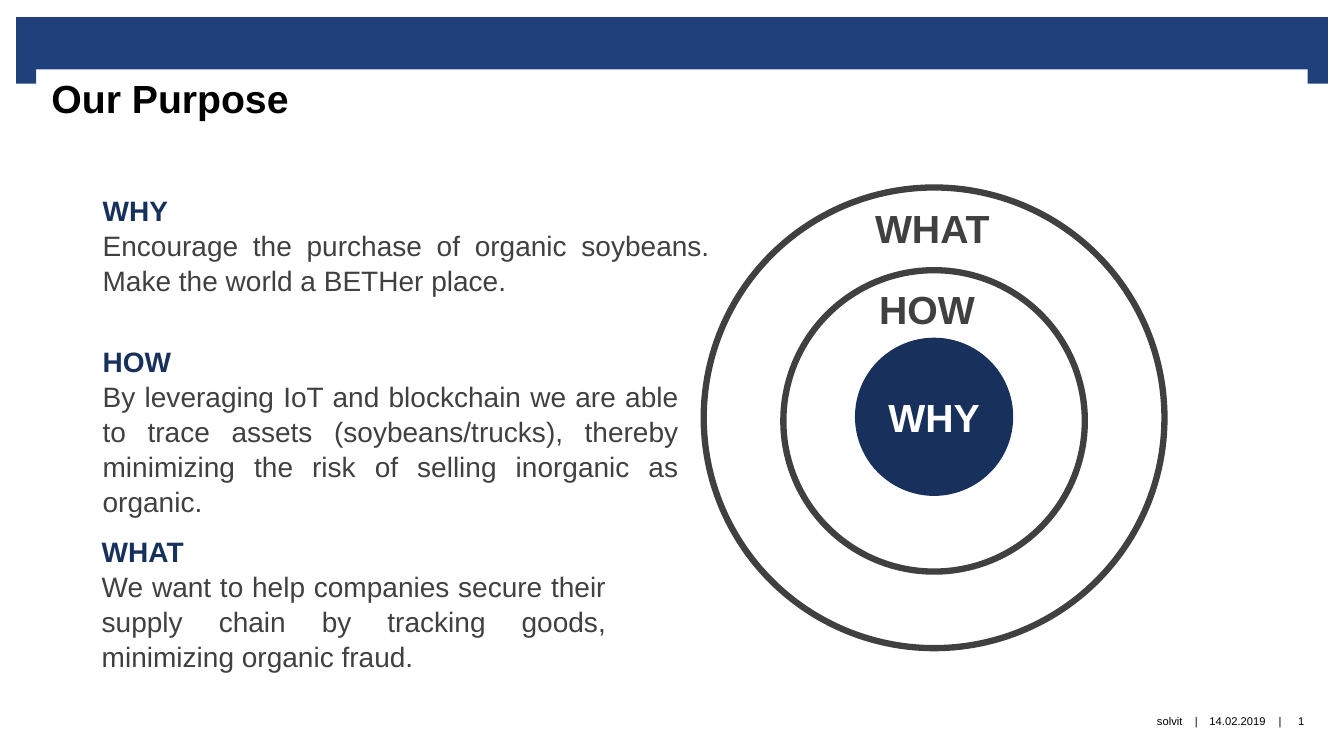
"""Build the "Our Purpose" slide with its three statements and nested circles."""
import pptx
import pptx.util
import pptx.dml.color
import pptx.enum.shapes
import pptx.enum.text

SIZE = (13.33, 7.5)
FONT = "Arial"
COLORS = {"band": "1F407A", "navy": "17305C", "gray": "404040",
          "black": "000000", "white": "FFFFFF"}
ALIGN = pptx.enum.text.PP_ALIGN
ANCHOR = pptx.enum.text.MSO_ANCHOR
SHAPE = pptx.enum.shapes.MSO_SHAPE

# All boxes are left, top, width, height in percent of the slide.
TITLE = ("Our Purpose", (2.63, 9.07, 94.67, 14.13))
BANDS = [(1.2, 2.27, 97.6, 6.93), (1.2, 8.67, 1.5, 2.4), (97.3, 8.67, 1.5, 2.4)]
SECTIONS = [
    ("WHY", "Encourage the purchase of organic soybeans. "
            "Make the world a BETHer place.", (6.9, 24.8, 46.66, 15.73)),
    ("HOW", "By leveraging IoT and blockchain we are able to trace assets "
            "(soybeans/trucks), thereby minimizing the risk of selling "
            "inorganic as organic.", (6.9, 44.8, 44.34, 20)),
    ("WHAT", "We want to help companies secure their supply chain by tracking "
             "goods, minimizing organic fraud.", (6.83, 69.87, 39.01, 15.73)),
]
CENTER_X = 69.5
CIRCLES = [("WHY", 55.13, 20.93), ("", 55.67, 39.87), ("", 55.27, 60.93)]
LABELS = [("HOW", (64.67, 37.07, 8.7, 7.6)), ("WHAT", (64.37, 26.4, 10.13, 7.6))]
FOOTER_ROW = (92, 6.7)
FOOTER = [("solvit", 49.96, 38.03, ALIGN.RIGHT), ("|", 88.45, 1.13, ALIGN.CENTER),
          ("14.02.2019", 89.57, 5.03, ALIGN.CENTER), ("|", 94.67, 1.13, ALIGN.CENTER),
          ("1", 95.35, 2.93, ALIGN.CENTER)]


def place(box):
    return [pptx.util.Inches(share * SIZE[i % 2] / 100) for i, share in enumerate(box)]


def rgb(name):
    return pptx.dml.color.RGBColor.from_string(COLORS[name])


def style(p, size, color, bold=False, align=ALIGN.LEFT):
    p.alignment = align
    for r in p.runs:
        r.font.name, r.font.size, r.font.bold = FONT, pptx.util.Pt(size), bold
        r.font.color.rgb = rgb(color)


def set_margins(tf, left, top, right, bottom):
    tf.margin_left, tf.margin_top, tf.margin_right, tf.margin_bottom = (
        pptx.util.Inches(v) for v in (left, top, right, bottom))


def add_solid(s, kind, box, color):
    sp = s.shapes.add_shape(kind, *place(box))
    sp.shadow.inherit = False
    sp.fill.solid()
    sp.fill.fore_color.rgb = rgb(color)
    sp.line.fill.background()
    return sp


def add_text(s, text, box, wrap=False):
    tf = s.shapes.add_textbox(*place(box)).text_frame
    tf.word_wrap = wrap
    tf.text = text
    return tf


def add_title(s):
    text, box = TITLE
    sp = s.shapes.title
    sp.left, sp.top, sp.width, sp.height = place(box)
    tf = sp.text_frame
    tf.text = text
    tf.auto_size = pptx.enum.text.MSO_AUTO_SIZE.NONE
    tf.vertical_anchor = ANCHOR.TOP
    set_margins(tf, 0.16, 0.06, 0.16, 0)
    style(tf.paragraphs[0], 28, "black", True)


def add_circles(s):
    for text, center_y, diameter in CIRCLES:
        width = diameter * SIZE[1] / SIZE[0]
        box = (CENTER_X - width / 2, center_y - diameter / 2, width, diameter)
        sp = add_solid(s, SHAPE.OVAL, box, "navy")
        if text:
            sp.text_frame.text = text
            sp.text_frame.word_wrap = False
            sp.text_frame.vertical_anchor = ANCHOR.MIDDLE
            style(sp.text_frame.paragraphs[0], 28, "white", True, ALIGN.CENTER)
        else:
            sp.fill.background()
            sp.line.color.rgb = rgb("gray")
            sp.line.width = pptx.util.Pt(4.5)
    for text, box in LABELS:
        style(add_text(s, text, box).paragraphs[0], 28, "gray", True)


def add_sections(s):
    for heading, statement, box in SECTIONS:
        tf = add_text(s, heading, box, wrap=True)
        style(tf.paragraphs[0], 20, "navy", True)
        p = tf.add_paragraph()
        p.text = statement
        style(p, 20, "gray", align=ALIGN.JUSTIFY)
        for p in tf.paragraphs:
            p.line_spacing = 1.04


def add_footer(s):
    top, height = FOOTER_ROW
    for text, left, width, align in FOOTER:
        tf = add_text(s, text, (left, top, width, height), wrap=True)
        tf.vertical_anchor = ANCHOR.MIDDLE
        set_margins(tf, 0, 0, 0, 0)
        style(tf.paragraphs[0], 8, "black", align=align)


def main():
    prs = pptx.Presentation()
    prs.slide_width, prs.slide_height = (pptx.util.Inches(v) for v in SIZE)
    s = prs.slides.add_slide(prs.slide_layouts[5])
    for box in BANDS:
        add_solid(s, SHAPE.RECTANGLE, box, "band")
    add_footer(s)
    add_title(s)
    add_circles(s)
    add_sections(s)
    prs.save("out.pptx")


if __name__ == "__main__":
    main()
